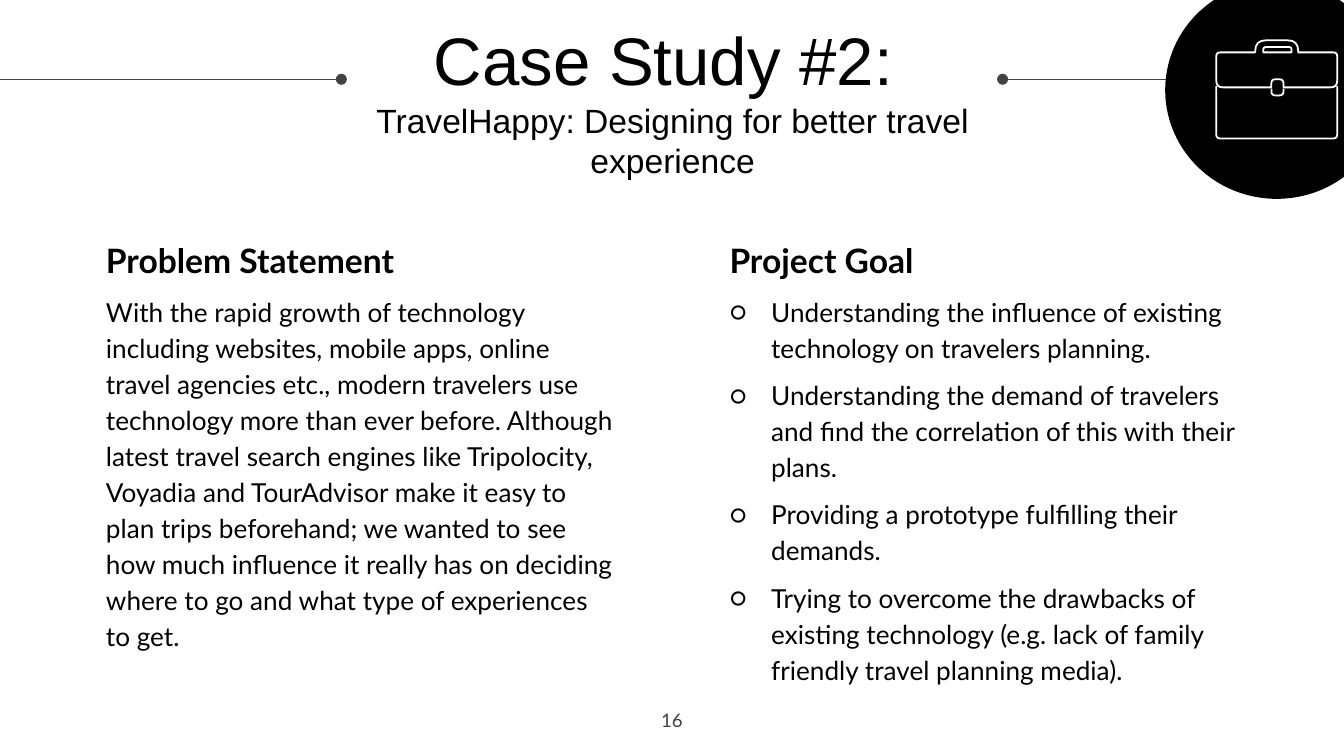
import pptx
import pptx.dml.color
import pptx.enum.shapes
import pptx.enum.text
import pptx.oxml
import pptx.oxml.ns
import pptx.util

BLACK = pptx.dml.color.RGBColor(0x00, 0x00, 0x00)
WHITE = pptx.dml.color.RGBColor(0xFF, 0xFF, 0xFF)
GRAY = pptx.dml.color.RGBColor(0x43, 0x43, 0x43)

COLS, ROWS = 100, 56.25
CELL = pptx.util.Inches(0.1)
INSET = 1
CENTER = pptx.enum.text.PP_ALIGN.CENTER
MIDDLE = pptx.enum.text.MSO_ANCHOR.MIDDLE

PROBLEM = (
    "With the rapid growth of technology including websites, mobile apps, online "
    "travel agencies etc., modern travelers use technology more than ever before. "
    "Although latest travel search engines like Tripolocity, Voyadia and "
    "TourAdvisor make it easy to plan trips beforehand; we wanted to see how much "
    "influence it really has on deciding where to go and what type of experiences "
    "to get."
)
GOALS = [
    "Understanding the influence of existing technology on travelers planning.",
    "Understanding the demand of travelers and find the correlation of this with "
    "their plans.",
    "Providing a prototype fulfilling their demands.",
    "Trying to overcome the drawbacks of existing technology (e.g. lack of family "
    "friendly travel planning media).",
]

# Briefcase corners: column, row, corner radius
LID = [
    (90.5, 3.9, 0.3), (93.4, 3.9, 0), (93.4, 3, 0.8), (96.6, 3, 0.8),
    (96.6, 3.9, 0), (99.5, 3.9, 0.3), (99.5, 6.5, 0.5), (95.5, 6.5, 0),
    (95.5, 5.9, 0.3), (94.6, 5.9, 0.3), (94.6, 6.5, 0), (90.5, 6.5, 0.5),
]
HANDLE_HOLE = [(94, 3.9, 0), (94, 3.5, 0.2), (96.1, 3.5, 0.2), (96.1, 3.9, 0)]
CLASP = [(94.6, 6.6, 0), (94.6, 7.1, 0.3), (95.5, 7.1, 0.3), (95.5, 6.6, 0)]
CASE = [(90.5, 6.4, 0), (90.5, 10.3, 0.3), (99.5, 10.3, 0.3), (99.5, 6.4, 0)]


def cells(*counts):
    return [round(n * CELL) for n in counts]


def add_xml(parent, tag, **attrs):
    child = pptx.oxml.parse_xml(f"<a:{tag} {pptx.oxml.ns.nsdecls('a')}/>")
    for name, value in attrs.items():
        child.set(name, str(value))
    parent.append(child)
    return child


def rounded(corners, steps=4):
    """Return outline points, with each corner turned into a quadratic curve."""
    points = []
    for i, (x, y, radius) in enumerate(corners):
        if not radius:
            points.append(cells(x, y))
            continue
        ends = []
        for nx, ny, _ in (corners[i - 1], corners[(i + 1) % len(corners)]):
            share = radius / (abs(nx - x) + abs(ny - y))
            ends.append((x + (nx - x) * share, y + (ny - y) * share))
        (ax, ay), (bx, by) = ends
        for step in range(steps + 1):
            t = step / steps
            a, c, b = (1 - t) ** 2, 2 * t * (1 - t), t ** 2
            points.append(cells(a * ax + c * x + b * bx, a * ay + c * y + b * by))
    return points


def write(tf, text, size=14, font="Lato", color=BLACK, bold=False, align=None,
          line=None, before=0, bullet=None, after_break=False):
    """Add text as a paragraph, or after a line break in the last paragraph."""
    if after_break:
        p = tf.paragraphs[-1]
        p.add_line_break()
    else:
        p = tf.paragraphs[0] if not tf.text else tf.add_paragraph()
    p.alignment = align
    p.line_spacing = line
    p.space_before = pptx.util.Pt(before)
    r = p.add_run()
    r.text = text
    r.font.size = pptx.util.Pt(size)
    r.font.name = font
    r.font.bold = bold
    r.font.color.rgb = color
    if bullet:
        pPr = p._p.get_or_add_pPr()
        indent = cells(3.1)[0]
        pPr.set("marL", str(indent))
        pPr.set("indent", str(-indent))
        add_xml(add_xml(pPr, "buClr"), "srgbClr", val=color)
        add_xml(pPr, "buFont", typeface=font)
        add_xml(pPr, "buChar", char=bullet)


class Deck:
    """Current slide and its style; lengths are grid columns and rows."""

    body = {"line": 1.15, "before": 6}

    def __init__(self):
        self.prs = pptx.Presentation()
        self.prs.slide_width, self.prs.slide_height = cells(COLS, ROWS)
        self.s = self.prs.slides.add_slide(self.prs.slide_layouts[6])

    def text_box(self, col, row, width, height, top=INSET, anchor=None):
        tf = self.s.shapes.add_textbox(*cells(col, row, width, height)).text_frame
        tf.word_wrap = True
        tf.vertical_anchor = anchor
        tf.margin_left = tf.margin_right = tf.margin_bottom = cells(INSET)[0]
        tf.margin_top = cells(top)[0]
        return tf

    def body_column(self, col, width, heading, texts, bullet=None):
        tf = self.text_box(col, 12.9, width, 35, top=4.5)
        write(tf, heading, size=18, bold=True, **self.body)
        for text in texts:
            write(tf, text, bullet=bullet, **self.body)

    def dotted_line(self, start, end, row):
        sp = self.s.shapes.add_connector(
            pptx.enum.shapes.MSO_CONNECTOR.STRAIGHT, *cells(start, row, end, row))
        sp.line.color.rgb = GRAY
        sp.line.width = pptx.util.Pt(0.75)
        add_xml(sp.line._get_or_add_ln(), "headEnd", type="oval")
        add_xml(sp._element.spPr, "effectLst")

    def disc(self, col, row, width, height):
        sp = self.s.shapes.add_shape(
            pptx.enum.shapes.MSO_SHAPE.OVAL, *cells(col, row, width, height))
        sp.shadow.inherit = False
        sp.fill.solid()
        sp.fill.fore_color.rgb = BLACK
        sp.line.fill.background()

    def outline(self, *contours, close=False):
        first, *others = [rounded(corners) for corners in contours]
        builder = self.s.shapes.build_freeform(*first[0])
        builder.add_line_segments(first[1:], close=close)
        for points in others:
            builder.move_to(*points[0])
            builder.add_line_segments(points[1:], close=close)
        sp = builder.convert_to_shape()
        sp.shadow.inherit = False
        sp.fill.background()
        sp.line.color.rgb = WHITE
        sp.line.width = pptx.util.Pt(0.96)


def main():
    deck = Deck()
    deck.dotted_line(25.4, -0.3, 5.9)
    deck.dotted_line(74.6, 100.1, 5.9)

    title = deck.text_box(25.4, 1.2, 49.3, 9.4, top=4, anchor=MIDDLE)
    write(title, "Case Study #2: ", size=36, font="Arial", align=CENTER)
    write(title, "TravelHappy: Designing for better travel experience",
          size=18, font="Arial", align=CENTER, after_break=True)

    deck.body_column(6.9, 39.9, "Problem Statement", [PROBLEM])
    deck.body_column(53.3, 41.3, "Project Goal", GOALS, bullet="○")

    number = deck.text_box(47, 51.9, 6, 4.3)
    write(number, "16", size=10, color=GRAY, align=CENTER)

    deck.disc(86.7, -1.4, 16.6, 16.2)
    deck.outline(LID, HANDLE_HOLE, close=True)
    deck.outline(CLASP)
    deck.outline(CASE)
    deck.prs.save("out.pptx")


if __name__ == "__main__":
    main()
